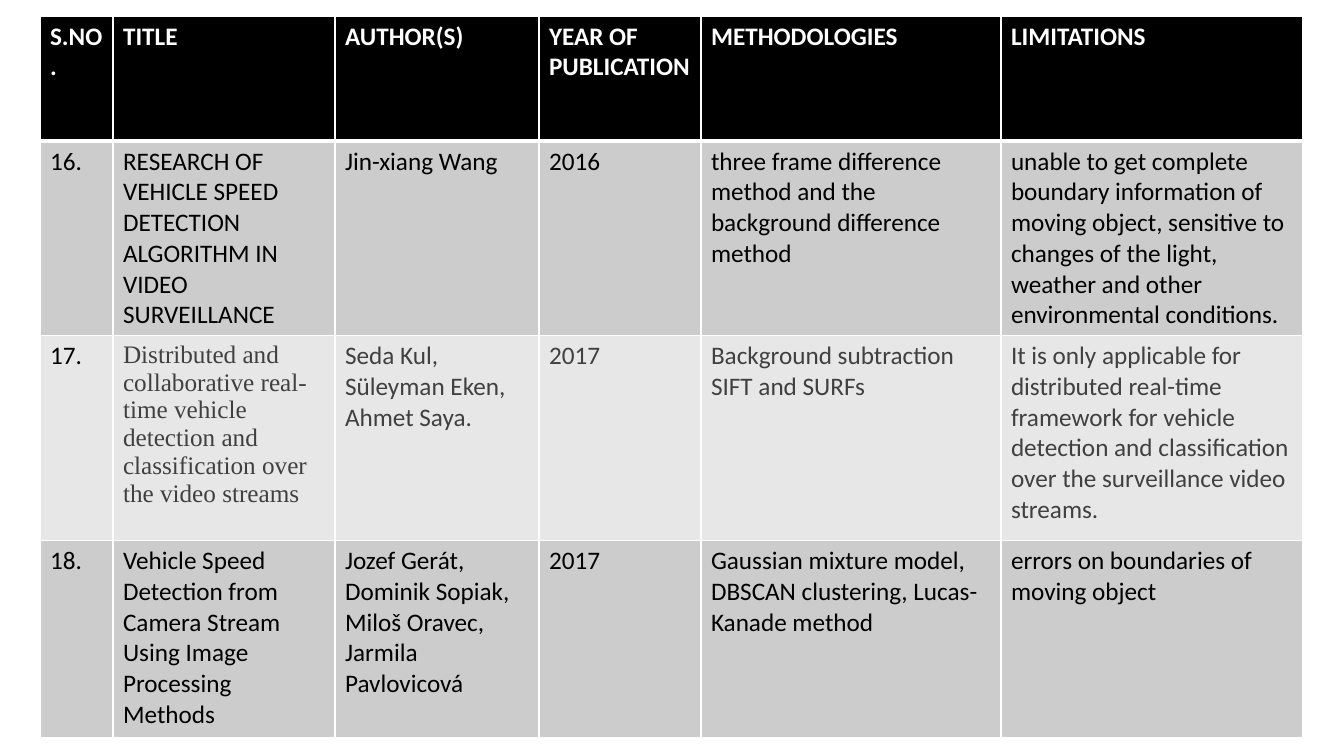
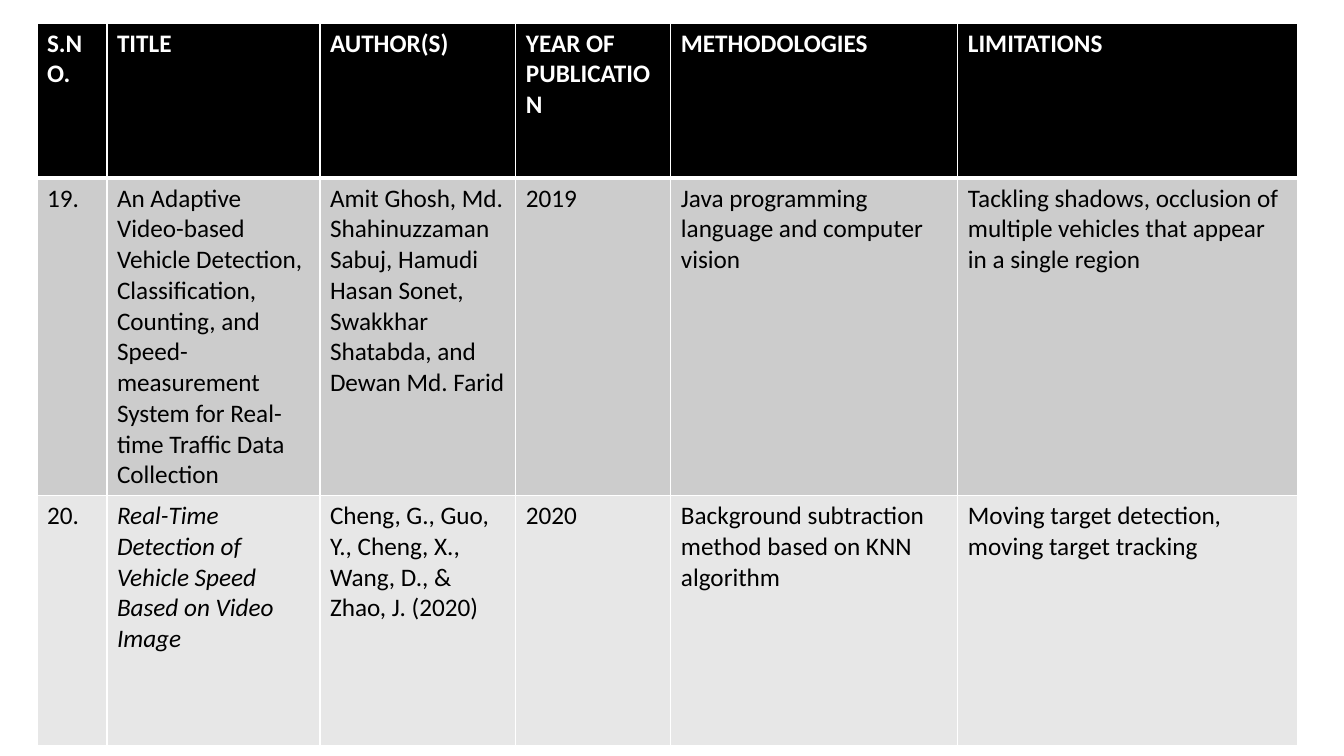
import pptx
import pptx.dml.color
import pptx.oxml
import pptx.oxml.ns
import pptx.util

SCALE = 914400 / 100.8  # EMU in one px
WHITE, BLACK = "FFFFFF", "000000"
BANDS = ["CCCCCC", "E7E7E7"]
BASE = {"name": "Calibri", "size": pptx.util.Pt(18), "bold": False,
        "italic": False, "color": BLACK}
HEAD = {"bold": True, "color": WHITE}
GREY = {"color": "404040"}
SERIF = {"name": "Times New Roman", "color": "404040"}
SLANT = {"italic": True}

LABELS = ["S.NO.", "TITLE", "AUTHOR(S)", "YEAR OF PUBLICATION",
          "METHODOLOGIES", "LIMITATIONS"]

# A cell is plain text, or text with its own style
PAGES = [
    {
        "spot": (40, 16),
        "cols": [73, 222, 204, 162, 300, 302],
        "rows": [125, 176, 205, 197],
        "works": [
            ["16.",
             "RESEARCH OF VEHICLE SPEED DETECTION ALGORITHM IN VIDEO SURVEILLANCE",
             "Jin-xiang Wang",
             "2016",
             "three frame difference method and the background difference method",
             "unable to get complete boundary information of moving object, "
             "sensitive to changes of the light, weather and other "
             "environmental conditions."],
            ["17.",
             ("Distributed and collaborative real-time vehicle detection and "
              "classification over the video streams", SERIF),
             ("Seda Kul, Süleyman Eken, Ahmet Saya.", GREY),
             ("2017", GREY),
             ("Background subtraction\nSIFT and SURFs", GREY),
             ("It is only applicable for distributed real-time framework for "
              "vehicle detection and classification over the surveillance "
              "video streams.", GREY)],
            ["18.",
             "Vehicle Speed Detection from Camera Stream Using Image "
             "Processing Methods",
             "Jozef Gerát, Dominik Sopiak, Miloš Oravec, Jarmila Pavlovicová",
             "2017",
             "Gaussian mixture model, DBSCAN clustering, Lucas-Kanade method",
             "errors on boundaries of moving object"],
        ],
    },
    {
        "spot": (37, 23),
        "cols": [70, 213, 196, 155, 287, 340],
        "rows": [155, 250, 250],
        "works": [
            ["19.",
             "An Adaptive Video-based Vehicle Detection, Classification, "
             "Counting, and Speed-measurement System for Real-time Traffic "
             "Data Collection",
             "Amit Ghosh, Md. Shahinuzzaman Sabuj, Hamudi Hasan Sonet, "
             "Swakkhar Shatabda, and Dewan Md. Farid",
             "2019",
             "Java programming language and computer vision",
             "Tackling shadows, occlusion of multiple vehicles that appear "
             "in a single region"],
            ["20.",
             ("Real-Time Detection of Vehicle Speed Based on Video Image", SLANT),
             "Cheng, G., Guo, Y., Cheng, X., Wang, D., & Zhao, J. (2020)",
             "2020",
             "Background subtraction method based on KNN algorithm",
             "Moving target detection, moving target tracking"],
        ],
    },
]


def px(count):
    return pptx.util.Emu(round(count * SCALE))


def tint(code):
    return pptx.dml.color.RGBColor.from_string(code)


def style_font(font, style):
    for key, value in {**BASE, **style}.items():
        if key == "color":
            font.color.rgb = tint(value)
        else:
            setattr(font, key, value)


def rule_cell(cell, widths):
    """Draw white borders; widths maps each side to points."""
    props = cell._tc.get_or_add_tcPr()
    for spot, (side, width) in enumerate(widths.items()):
        props.insert(spot, pptx.oxml.parse_xml(
            f'<a:ln{side} {pptx.oxml.ns.nsdecls("a")} w="{pptx.util.Pt(width)}">'
            f'<a:solidFill><a:srgbClr val="{WHITE}"/></a:solidFill></a:ln{side}>'))


def fill_cell(cell, text, style, back, widths):
    cell.fill.solid()
    cell.fill.fore_color.rgb = tint(back)
    rule_cell(cell, widths)
    cell.text_frame.text = text
    for para in cell.text_frame.paragraphs:
        for run in para.runs:
            style_font(run.font, style)


def add_survey(slide, spot, cols, rows, works):
    """Place one table of papers with its top left corner at spot."""
    box = (*spot, sum(cols), sum(rows))
    table = slide.shapes.add_table(len(rows), len(cols), *map(px, box)).table
    for col, width in zip(table.columns, cols):
        col.width = px(width)
    for row, height in zip(table.rows, rows):
        row.height = px(height)

    # Head row, then banded rows; a thick rule parts them
    lines = [[(label, HEAD) for label in LABELS], *works]
    for r, line in enumerate(lines):
        back = BANDS[(r - 1) % 2] if r else BLACK
        widths = {"L": 1, "R": 1, "T": 3 if r == 1 else 1, "B": 1 if r else 3}
        for c, item in enumerate(line):
            text, style = (item, {}) if isinstance(item, str) else item
            fill_cell(table.cell(r, c), text, style, back, widths)


def main():
    deck = pptx.Presentation()
    deck.slide_width, deck.slide_height = px(1344), px(756)
    blank = deck.slide_layouts[6]
    for page in PAGES:
        add_survey(deck.slides.add_slide(blank), **page)
    deck.save("out.pptx")


if __name__ == "__main__":
    main()
